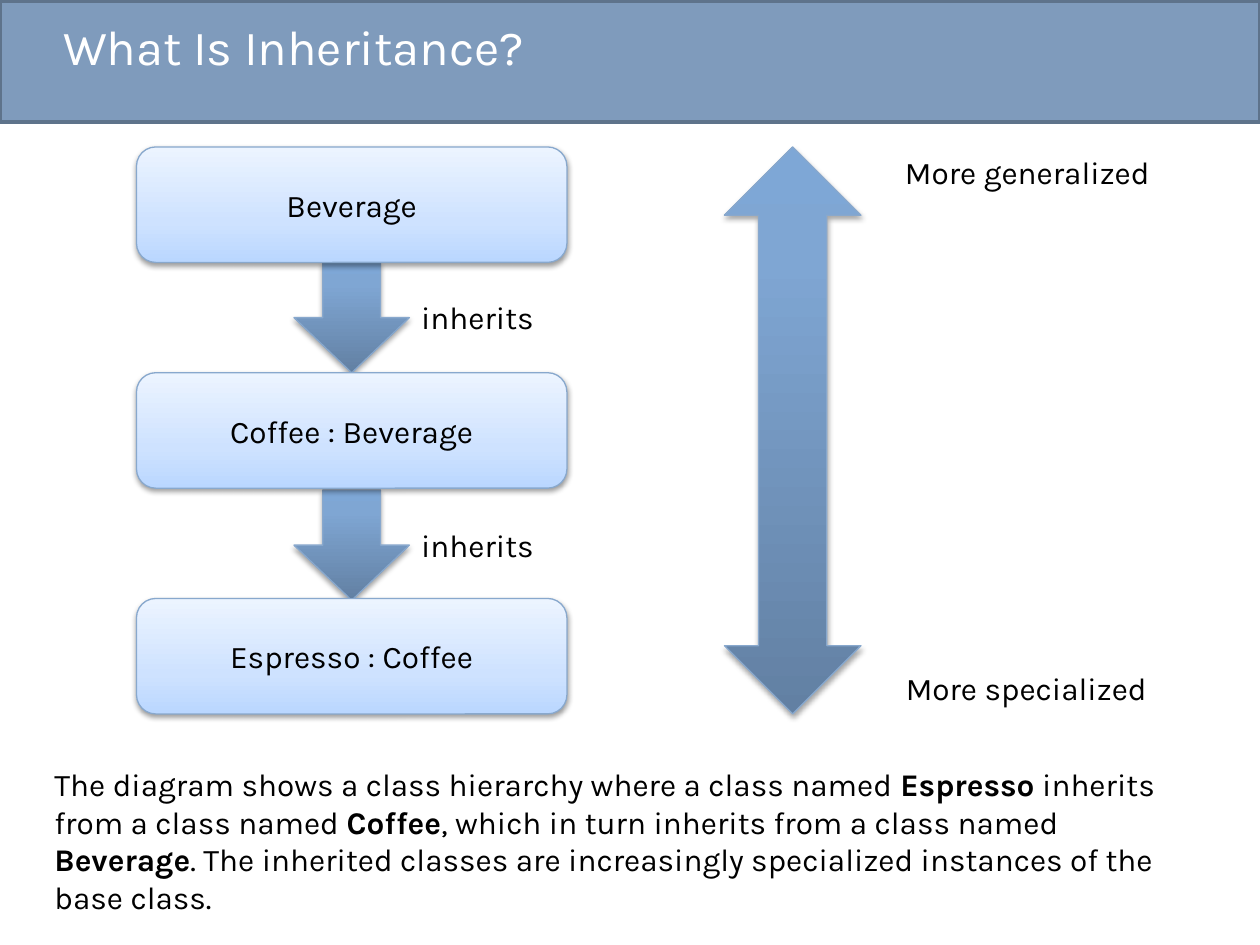
from typing import NamedTuple

from lxml import etree
from pptx import Presentation
from pptx import util as u
from pptx.dml.color import RGBColor
from pptx.enum import shapes, text
from pptx.oxml import ns

Pt = u.Pt
FONT = "Karla"
WHITE = RGBColor(0xFF, 0xFF, 0xFF)
BLACK = RGBColor(0, 0, 0)
BAND = RGBColor(0x7F, 0x9B, 0xBC)
BAND_EDGE = RGBColor(0x5E, 0x73, 0x8B)
EDGE = RGBColor(0x88, 0xA8, 0xCD)
BOX_STOPS = ((0, RGBColor(0xBA, 0xD7, 0xFF)), (35, RGBColor(0xCE, 0xE2, 0xFF)),
             (100, RGBColor(0xEC, 0xF4, 0xFF)))
ARROW_STOPS = ((0, RGBColor(0x62, 0x80, 0xA3)), (80, RGBColor(0x7F, 0xA6, 0xD3)),
               (100, RGBColor(0x7E, 0xA7, 0xD6)))
BOX_PITCH, LINK_PITCH = 129, 130


class Look(NamedTuple):
    preset: shapes.MSO_SHAPE
    stops: tuple
    shadow_alpha: int
    shadow_dist: float


class Block(NamedTuple):
    look: Look
    left: float
    top: float
    width: float
    height: float
    label: str = ""


class Note(NamedTuple):
    left: float
    top: float
    width: float
    height: float
    runs: tuple  # every second run is bold


BOX = Look(shapes.MSO_SHAPE.ROUNDED_RECTANGLE, BOX_STOPS, 38, 1.6)
DOWN = Look(shapes.MSO_SHAPE.DOWN_ARROW, ARROW_STOPS, 35, 1.8)
UP_DOWN = Look(shapes.MSO_SHAPE.UP_DOWN_ARROW, ARROW_STOPS, 35, 1.8)

CLASSES = ("Beverage", "Coffee : Beverage", "Espresso : Coffee")
BLOCKS = [
    Block(UP_DOWN, 414, 84, 78, 324),
    *(Block(DOWN, 168, 150 + i * LINK_PITCH, 66, 63) for i in range(2)),
    *(Block(BOX, 78, 84 + i * BOX_PITCH, 246, 66, name)
      for i, name in enumerate(CLASSES)),
]
NOTES = [
    Note(510, 84, 198, 29, ("More generalized",)),
    Note(510.5, 379, 198, 29, ("More specialized",)),
    *(Note(233.5, 167 + i * LINK_PITCH, 162, 29, ("inherits",)) for i in range(2)),
    Note(24, 433.5, 672, 73, (
        "The diagram shows a class hierarchy where a class named ", "Espresso",
        " inherits from a class named ", "Coffee",
        ", which in turn inherits from a class named ", "Beverage",
        ". The inherited classes are increasingly specialized instances of the "
        "base class.")),
]


def add_color(parent, color: RGBColor, **attrs: str):
    clr = etree.SubElement(parent, ns.qn("a:srgbClr"), val=str(color))
    for name, val in attrs.items():
        etree.SubElement(clr, ns.qn(f"a:{name}"), val=val)


def set_font(p, size: float, color: RGBColor) -> None:
    p.font.name, p.font.size = FONT, Pt(size)
    p.font.color.rgb = color


def add_block(s, b: Block) -> None:
    sp = s.shapes.add_shape(b.look.preset, Pt(b.left), Pt(b.top),
                            Pt(b.width), Pt(b.height))
    sp.line.color.rgb, sp.line.width = EDGE, Pt(0.75)
    # Gradient running from bottom to top
    sp.fill.gradient()
    sp.fill.gradient_angle = 90
    sp_pr = sp._element.spPr
    gs_lst = sp_pr.find(ns.qn("a:gradFill")).find(ns.qn("a:gsLst"))
    for gs in list(gs_lst):
        gs_lst.remove(gs)
    for pos, color in b.look.stops:
        add_color(etree.SubElement(gs_lst, ns.qn("a:gs"), pos=str(pos * 1000)), color)
    # Soft shadow below
    sp.shadow.inherit = False
    shadow = etree.SubElement(
        sp_pr.find(ns.qn("a:effectLst")), ns.qn("a:outerShdw"),
        blurRad=str(Pt(3.1)), dist=str(Pt(b.look.shadow_dist)),
        dir="5400000", rotWithShape="0")
    add_color(shadow, BLACK, alpha=str(b.look.shadow_alpha * 1000))
    if b.label:
        tf = sp.text_frame
        tf.word_wrap = True
        tf.vertical_anchor = text.MSO_ANCHOR.MIDDLE
        tf.margin_left = tf.margin_right = Pt(14.4)
        p = tf.paragraphs[0]
        p.text, p.alignment = b.label, text.PP_ALIGN.CENTER
        set_font(p, 18, BLACK)


def add_note(s, n: Note) -> None:
    tf = s.shapes.add_textbox(Pt(n.left), Pt(n.top), Pt(n.width),
                              Pt(n.height)).text_frame
    tf.word_wrap = True
    tf.auto_size = text.MSO_AUTO_SIZE.SHAPE_TO_FIT_TEXT
    p = tf.paragraphs[0]
    set_font(p, 18, BLACK)
    for i, words in enumerate(n.runs):
        r = p.add_run()
        r.text = words
        if i % 2:
            r.font.bold = True


prs = Presentation()
prs.slide_width, prs.slide_height = Pt(720), Pt(540)
s = prs.slides.add_slide(prs.slide_layouts[5])

# Header band, behind the title
band = s.shapes.add_shape(shapes.MSO_SHAPE.RECTANGLE, 0, Pt(0.7), Pt(720), Pt(69))
band.shadow.inherit = False
band.fill.solid()
band.fill.fore_color.rgb = BAND
band.line.color.rgb, band.line.width = BAND_EDGE, Pt(2)
title = s.shapes.title
title._element.addprevious(band._element)

# Title
title.left, title.top, title.width, title.height = Pt(36), 0, Pt(612), Pt(58.3)
tf = title.text_frame
tf.margin_left = 0
tf.vertical_anchor = text.MSO_ANCHOR.MIDDLE
p = tf.paragraphs[0]
p.text, p.alignment, p.line_spacing = "What Is Inheritance?", text.PP_ALIGN.LEFT, 0.85
set_font(p, 28, WHITE)

# Class hierarchy and its captions
for block in BLOCKS:
    add_block(s, block)
for note in NOTES:
    add_note(s, note)

prs.save("out.pptx")
